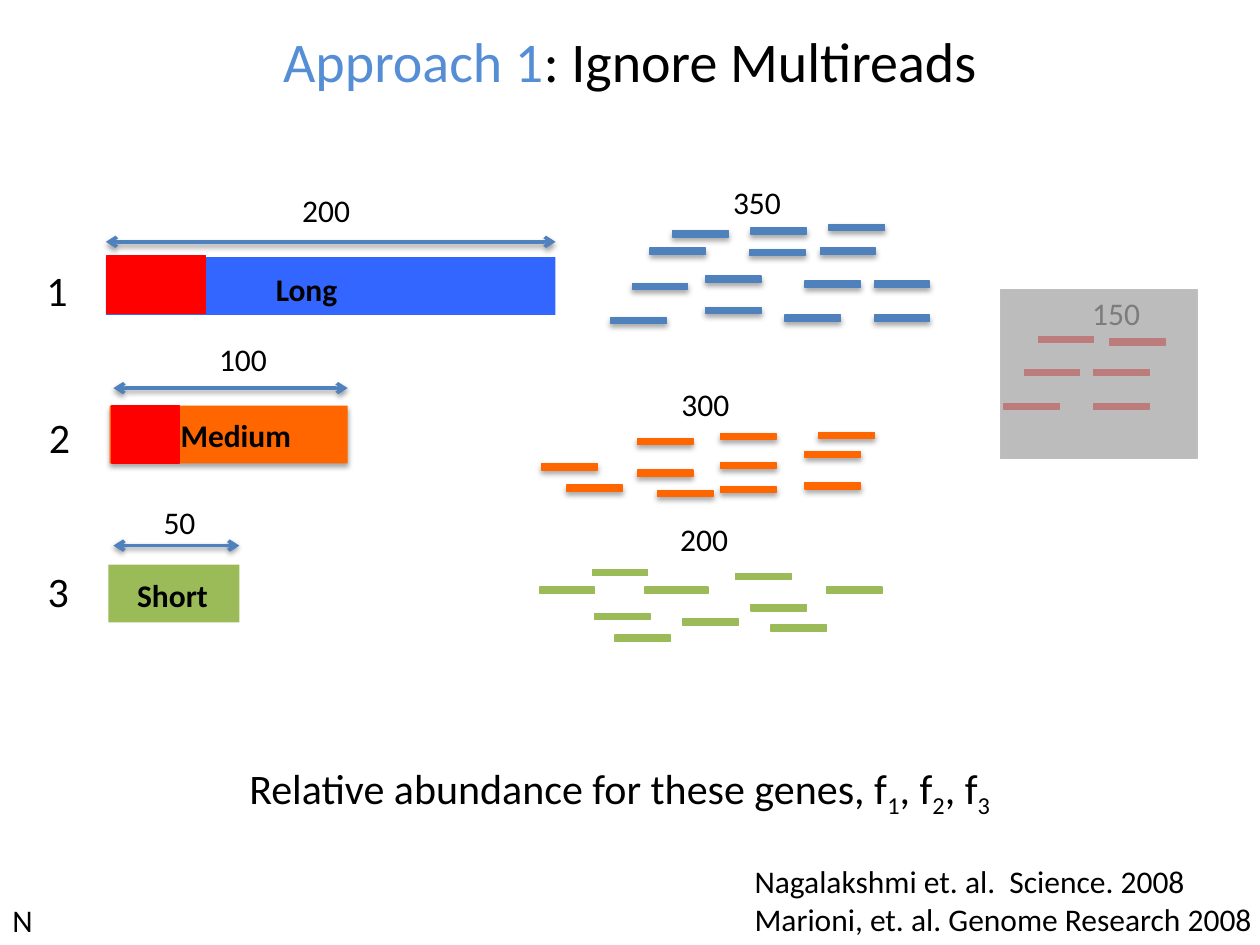
from dataclasses import dataclass
from typing import Optional

from lxml import etree
from pptx import Presentation
from pptx.dml.color import RGBColor
from pptx.enum.shapes import MSO_CONNECTOR, MSO_SHAPE
from pptx.enum.text import MSO_ANCHOR, MSO_AUTO_SIZE, PP_ALIGN
from pptx.oxml.ns import qn
from pptx.util import Pt

RECT = MSO_SHAPE.RECTANGLE
STRAIGHT = MSO_CONNECTOR.STRAIGHT
CENTER = PP_ALIGN.CENTER
MIDDLE = MSO_ANCHOR.MIDDLE
GROW = MSO_AUTO_SIZE.SHAPE_TO_FIT_TEXT

FONT = "Calibri"
BLACK, RED, BLUE = "000000", "FF0000", "4F81BD"
ORANGE, GREEN = "FF6600", "9BBB59"
BAR_HEIGHT = 33.1
READ_WIDTH, READ_HEIGHT = 31.7, 3.6
LABEL_HEIGHT = 28.8


@dataclass
class Gene:
    number: str
    number_at: tuple[float, float]
    bar: tuple[float, float, float]  # left, top, width
    color: str
    length: str
    length_at: tuple[float, float]
    arrow: tuple[float, float, float]  # left, right, y
    name: str
    name_at: Optional[tuple[float, float, float]] = None  # None: centred in the bar
    repeat: Optional[tuple[float, float, float]] = None
    shadow: bool = False


@dataclass
class ReadGroup:
    count: str
    count_at: tuple[float, float]
    color: str
    reads: list[tuple[float, float]]
    shadow: bool = False


GENES = [
    Gene("1", (19.4, 147.6), (60.5, 146.9, 257), "3366FF", "200", (165.6, 105.8),
         (60.5, 317.5, 138.2), "Long", (150.5, 150.5, 51.1), (61.2, 146.2, 56.2)),
    Gene("2", (20.9, 231.8), (62.6, 231.8, 136.1), ORANGE, "100", (118.1, 190.8),
         (64.8, 198.7, 221.8), "Medium", None, (64.1, 231.8, 38.2), True),
    Gene("3", (20.2, 319.7), (61.9, 322.6, 74.9), GREEN, "50", (86.4, 283.7),
         (64.8, 136.8, 311.8), "Short", (71.3, 325.4, 56)),
]

READ_GROUPS = [
    ReadGroup("350", (411.8, 100.8), BLUE, [
        (371.5, 141.8), (403.2, 157.7), (361.4, 162), (403.2, 175.7), (349.2, 181.4),
        (428.4, 142.6), (429.1, 130.3), (473.8, 128.2), (384.5, 131.8), (468.7, 141.8),
        (499.7, 160.6), (460.1, 160.6), (499.7, 180), (448.6, 180)], True),
    ReadGroup("300", (382.3, 216.7), ORANGE, [
        (324, 277.2), (309.6, 265), (364.3, 268.6), (375.8, 280.1), (411.8, 277.9),
        (411.8, 264.2), (460.1, 257.8), (460.1, 275.8), (411.8, 247.7), (468, 247),
        (364.3, 250.6)], True),
    ReadGroup("200", (381.6, 293.8), GREEN, [
        (420.5, 327.6), (338.4, 325.4), (339.8, 350.6), (351.4, 362.9), (308.2, 335.5),
        (472.3, 335.5), (429.1, 345.6), (440.6, 357.1), (390.2, 353.5)]),
    ReadGroup("150", (617, 164.2), RED, [
        (593.3, 192.2), (625, 211), (585.4, 211), (625, 230.4), (573.8, 230.4),
        (634.3, 193.7)]),
]


def rgb(color: str) -> RGBColor:
    return RGBColor.from_string(color)


def add_shadow(shape, alpha: int, distance: float) -> None:
    effects = shape._element.spPr.find(qn("a:effectLst"))
    if effects is None:
        effects = etree.SubElement(shape._element.spPr, qn("a:effectLst"))
    outer = etree.SubElement(effects, qn("a:outerShdw"), blurRad=str(Pt(3.1)),
                             dist=str(Pt(distance)), dir="5400000", rotWithShape="0")
    tint = etree.SubElement(outer, qn("a:srgbClr"), val=BLACK)
    etree.SubElement(tint, qn("a:alpha"), val=str(alpha * 1000))


def add_box(slide, left: float, top: float, width: float, height: float, color: str,
            line: Optional[str] = None, shadow: bool = False):
    box = slide.shapes.add_shape(RECT, Pt(left), Pt(top), Pt(width), Pt(height))
    box.fill.solid()
    box.fill.fore_color.rgb = rgb(color)
    if line:
        box.line.color.rgb = rgb(line)
        box.line.width = Pt(0.75)
    else:
        box.line.fill.background()
    box.shadow.inherit = False
    if shadow:
        add_shadow(box, 35, 1.8)
    return box


def style(run, size: float, color: str = BLACK, bold: bool = False) -> None:
    run.font.name = FONT
    run.font.size = Pt(size)
    run.font.color.rgb = rgb(color)
    run.font.bold = bold


def add_label(slide, text: str, left: float, top: float, width: float,
              height: float = LABEL_HEIGHT, size: float = 18, bold: bool = False):
    label = slide.shapes.add_textbox(Pt(left), Pt(top), Pt(width), Pt(height))
    frame = label.text_frame
    frame.word_wrap = False
    frame.auto_size = GROW
    frame.text = text
    for paragraph in frame.paragraphs:
        for run in paragraph.runs:
            style(run, size, bold=bold)
    return label


def add_span(slide, left: float, right: float, y: float) -> None:
    span = slide.shapes.add_connector(STRAIGHT, Pt(left), Pt(y), Pt(right), Pt(y))
    span.line.color.rgb = rgb(BLUE)
    span.line.width = Pt(2)
    line = span.line._get_or_add_ln()
    for end in ("a:headEnd", "a:tailEnd"):
        etree.SubElement(line, qn(end), type="arrow")
    add_shadow(span, 38, 1.6)


def add_gene(slide, gene: Gene) -> None:
    left, top, width = gene.bar
    bar = add_box(slide, left, top, width, BAR_HEIGHT, gene.color, shadow=gene.shadow)
    if gene.name_at:
        add_label(slide, gene.name, *gene.name_at, bold=True)
    else:
        frame = bar.text_frame
        frame.text = gene.name
        frame.margin_left = Pt(15.3)
        frame.vertical_anchor = MIDDLE
        frame.paragraphs[0].alignment = CENTER
        style(frame.paragraphs[0].runs[0], 18, bold=True)
    add_span(slide, *gene.arrow)
    add_label(slide, gene.length, *gene.length_at, 14.4 + 9.3 * len(gene.length))
    add_label(slide, gene.number, *gene.number_at, 26.6, 36, 24)
    if gene.repeat:
        add_box(slide, *gene.repeat, BAR_HEIGHT, RED, RED)


def add_reads(slide, group: ReadGroup) -> None:
    for left, top in group.reads:
        add_box(slide, left, top, READ_WIDTH, READ_HEIGHT, group.color, group.color,
                group.shadow)
    add_label(slide, group.count, *group.count_at, 42.5)


def main() -> None:
    prs = Presentation()
    prs.slide_width, prs.slide_height = Pt(720), Pt(540)
    slide = prs.slides.add_slide(prs.slide_layouts[6])

    # Title
    title = slide.shapes.add_textbox(Pt(0), Pt(2.9), Pt(720), Pt(63.4)).text_frame
    title.word_wrap = True
    title.vertical_anchor = MIDDLE
    title.paragraphs[0].alignment = CENTER
    for text, color in (("Approach 1", "558ED5"), (": Ignore Multireads", BLACK)):
        run = title.paragraphs[0].add_run()
        run.text = text
        style(run, 32, color)

    # Genes and their reads
    for gene in GENES:
        add_gene(slide, gene)
    add_box(slide, 368.6, 335.5, 36, READ_HEIGHT, GREEN, GREEN)  # the one longer read
    for group in READ_GROUPS:
        add_reads(slide, group)

    # Veil over the ignored multireads
    veil = add_box(slide, 571.7, 165.6, 112.3, 96.5, "A6A6A6", "BFBFBF")
    tint = veil._element.spPr.find(qn("a:solidFill"))[0]
    etree.SubElement(tint, qn("a:alpha"), val="75000")

    # Question, with subscripts
    question = add_label(slide, "Relative abundance for these genes, f", 135.4, 432,
                         457.9, 36, 24).text_frame.paragraphs[0]
    for text in ("1", ", f", "2", ", f", "3"):
        run = question.add_run()
        run.text = text
        style(run, 24)
        if text.isdigit():
            run._r.get_or_add_rPr().set("baseline", "-25000")

    # Sources
    add_label(slide, "Nagalakshmi et. al.  Science. 2008\nMarioni, et. al. Genome Research 2008",
              424.1, 488.9, 301.7, 72.7)
    add_label(slide, "N", 0, 511.2, 25.9)

    prs.save("out.pptx")


if __name__ == "__main__":
    main()
